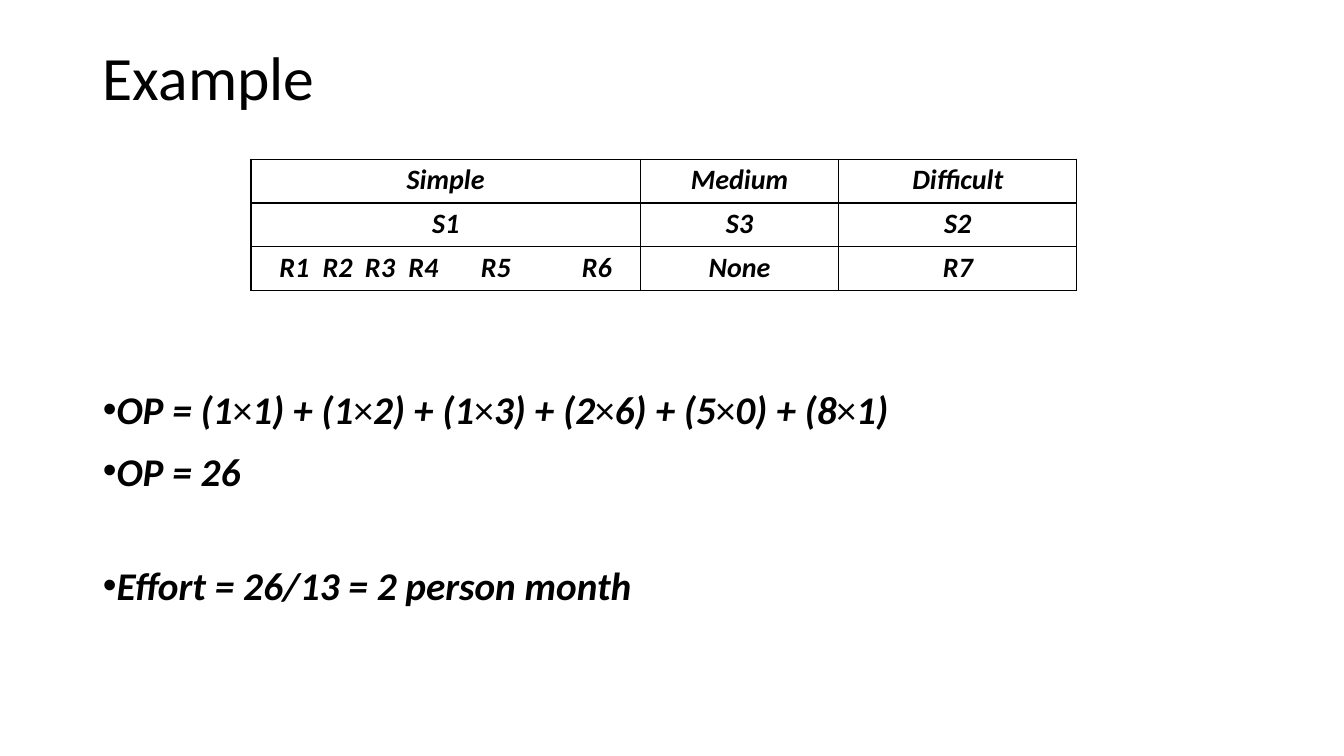
from lxml.etree import SubElement
from pptx import Presentation
from pptx.dml.color import RGBColor
from pptx.enum.text import MSO_ANCHOR, MSO_AUTO_SIZE, PP_ALIGN
from pptx.oxml.ns import qn
from pptx.util import Inches, Pt

TITLE = "Example"
SCREENS_AND_REPORTS = [
    ("Simple", "Medium", "Difficult"),
    ("S1", "S3", "S2"),
    ("R1\tR2\tR3\tR4\tR5\tR6", "None", "R7"),
]
# text, line spacing, space before in points
CALCULATION = [
    ("OP = (1×1) + (1×2) + (1×3) + (2×6) + (5×0) + (8×1)", 1.02, 0),
    ("OP = 26", 1.02, 10),
    ("Effort = 26/13 = 2 person month", 1.0, 48),
]
COLORS = {"text": "000000", "border": "000000", "background": "FFFFFF"}
FONT = "Calibri"
SLIDE_WIDTH, SLIDE_HEIGHT = 13.33, 7.5
MARGIN, CONTENT_WIDTH = 0.92, 11.5
TABLE_LEFT, TABLE_TOP = 2.49, 1.58
COLUMN_WIDTHS, ROW_HEIGHT = (3.86, 1.97, 2.36), 0.435
REPORT_INDENT = 0.28
REPORT_TABS = (0.43, 0.85, 1.28, 2, 3)


def emu(inches):
    return str(int(Inches(inches)))


def add_text(paragraph, text, size, bold=False, italic=False,
             align=PP_ALIGN.LEFT, line_spacing=1.0, space_before=0):
    """Write text in runs, leaving each multiplication sign upright and light."""
    paragraph.alignment = align
    paragraph.line_spacing = line_spacing
    paragraph.space_before = Pt(space_before)
    paragraph.space_after = Pt(0)
    for index, part in enumerate(text.split("×")):
        for piece in (["×"] if index else []) + [part]:
            run = paragraph.add_run()
            run.text = piece
            font = run.font
            font.name, font.size = FONT, Pt(size)
            font.bold = bold and piece != "×"
            font.italic = italic and piece != "×"
            font.color.rgb = RGBColor.from_string(COLORS["text"])


def add_bullet(paragraph):
    properties = paragraph._p.get_or_add_pPr()
    properties.set("marL", emu(0.01))
    properties.set("indent", emu(-0.01))
    color = SubElement(properties, qn("a:buClr"))
    SubElement(color, qn("a:srgbClr"), val=COLORS["text"])
    SubElement(properties, qn("a:buFont"), typeface="Arial")
    SubElement(properties, qn("a:buChar"), char="•")


def add_tab_stops(paragraph, positions):
    tab_list = SubElement(paragraph._p.get_or_add_pPr(), qn("a:tabLst"))
    for position in positions:
        SubElement(tab_list, qn("a:tab"), pos=emu(position), algn="l")


def add_borders(cell):
    properties = cell._tc.get_or_add_tcPr()
    for side in ("lnL", "lnR", "lnT", "lnB"):
        line = SubElement(properties, qn(f"a:{side}"), w=str(int(Pt(1))))
        fill = SubElement(line, qn("a:solidFill"))
        SubElement(fill, qn("a:srgbClr"), val=COLORS["border"])


def place(shape, top, height, anchor):
    shape.left, shape.top = Inches(MARGIN), Inches(top)
    shape.width, shape.height = Inches(CONTENT_WIDTH), Inches(height)
    frame = shape.text_frame
    frame.word_wrap = True
    frame.auto_size = MSO_AUTO_SIZE.NONE
    frame.vertical_anchor = anchor
    return frame


def add_complexity_table(slide):
    rows, columns = len(SCREENS_AND_REPORTS), len(COLUMN_WIDTHS)
    table = slide.shapes.add_table(
        rows, columns, Inches(TABLE_LEFT), Inches(TABLE_TOP),
        Inches(sum(COLUMN_WIDTHS)), Inches(rows * ROW_HEIGHT)).table
    table.first_row = table.horz_banding = False
    for column, width in zip(table.columns, COLUMN_WIDTHS):
        column.width = Inches(width)
    for row, texts in zip(table.rows, SCREENS_AND_REPORTS):
        row.height = Inches(ROW_HEIGHT)
        for cell, text in zip(row.cells, texts):
            tabbed = "\t" in text
            add_borders(cell)
            cell.fill.solid()
            cell.fill.fore_color.rgb = RGBColor.from_string(COLORS["background"])
            cell.margin_left = Inches(REPORT_INDENT if tabbed else 0)
            cell.margin_right = cell.margin_bottom = 0
            cell.margin_top = Inches(0.04)
            paragraph = cell.text_frame.paragraphs[0]
            if tabbed:
                add_tab_stops(paragraph, REPORT_TABS)
            add_text(paragraph, text, 20, bold=True, italic=True,
                     align=PP_ALIGN.LEFT if tabbed else PP_ALIGN.CENTER)


def main():
    presentation = Presentation()
    presentation.slide_width = Inches(SLIDE_WIDTH)
    presentation.slide_height = Inches(SLIDE_HEIGHT)
    slide = presentation.slides.add_slide(presentation.slide_layouts[1])

    title = place(slide.shapes.title, 0.4, 0.8, MSO_ANCHOR.MIDDLE)
    add_text(title.paragraphs[0], TITLE, 44, line_spacing=0.9)

    body = place(slide.placeholders[1], 3.76, 3, MSO_ANCHOR.TOP)
    for index, (text, line_spacing, space_before) in enumerate(CALCULATION):
        paragraph = body.add_paragraph() if index else body.paragraphs[0]
        add_bullet(paragraph)
        add_text(paragraph, text, 28, bold=True, italic=True,
                 line_spacing=line_spacing, space_before=space_before)

    add_complexity_table(slide)
    presentation.save("out.pptx")


if __name__ == "__main__":
    main()
